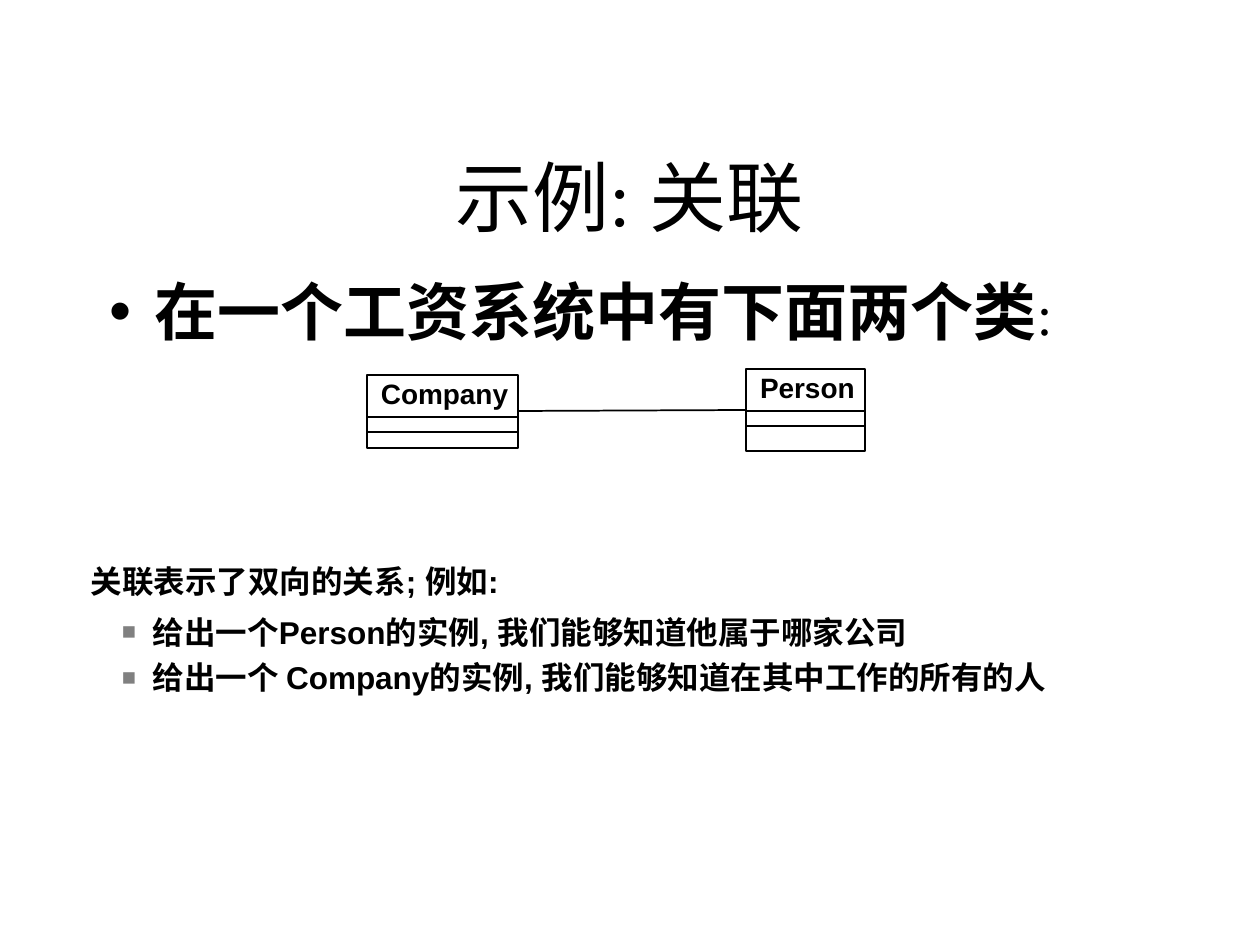
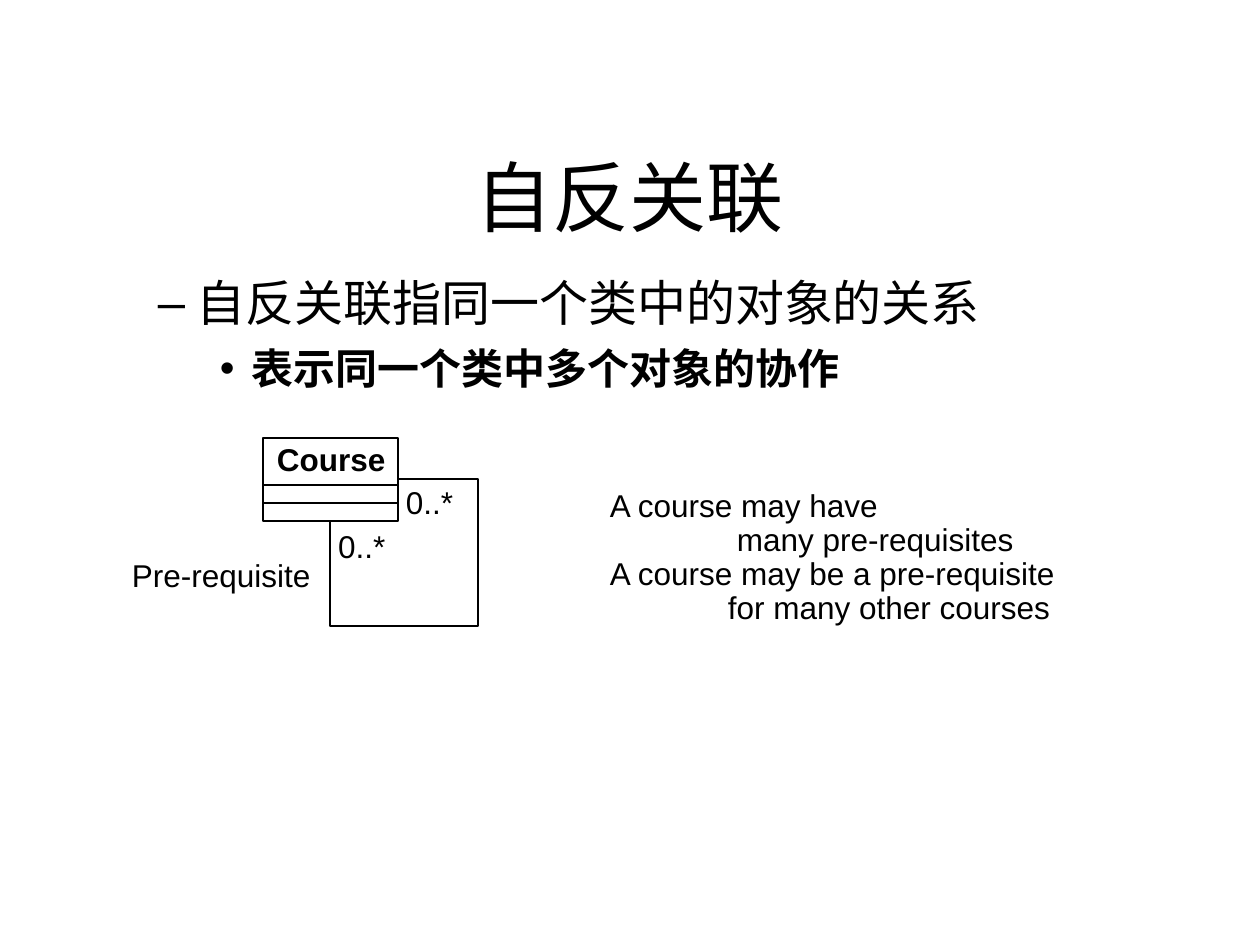
from dataclasses import dataclass

from lxml.etree import SubElement
from pptx import Presentation
from pptx.dml.color import RGBColor
from pptx.enum.shapes import MSO_CONNECTOR as Connector, MSO_SHAPE as Preset
from pptx.enum.text import MSO_ANCHOR as Anchor, MSO_AUTO_SIZE as AutoSize, PP_ALIGN as Align
from pptx.oxml.ns import qn
from pptx.util import Emu, Pt


@dataclass(frozen=True)
class Theme:
    ink: str = "000000"
    marker: str = "808080"
    serif: str = "Times New Roman"
    sans: str = "Arial"
    title: int = 44
    lead: int = 36
    colon: int = 32
    point: int = 28
    subpoint: int = 24
    note: int = 18
    class_name: int = 16
    line: int = 1


THEME = Theme()
TITLE_BOX = (94, 84, 1071, 158)
LABEL_INSETS = (13, 6, 0, 6)
NO_INSETS = (0, 0, 0, 0)


@dataclass(frozen=True)
class Line:
    text: str
    size: int = THEME.note
    bold: bool = False
    bullet: str = ""
    bullet_color: str = THEME.ink
    bullet_percent: int = 100
    margin: int = 0
    hanging: int = 0
    before: float = 0
    after: float = 0
    spacing: object = None


def px(length):
    return Emu(round(length * 914400 / 126))


def ink(color):
    return RGBColor.from_string(color)


def set_font(font, size, face, bold=False):
    font.name = face
    font.size = Pt(size)
    font.bold = bold
    font.color.rgb = ink(THEME.ink)


def set_insets(frame, insets):
    (frame.margin_left, frame.margin_top,
     frame.margin_right, frame.margin_bottom) = map(px, insets)


def set_indent(paragraph, line):
    properties = paragraph._p.get_or_add_pPr()
    properties.set("marL", str(px(line.margin)))
    properties.set("indent", str(-px(line.hanging)))
    if line.bullet:
        color = SubElement(properties, qn("a:buClr"))
        SubElement(color, qn("a:srgbClr"), val=line.bullet_color)
        SubElement(properties, qn("a:buSzPct"), val=str(line.bullet_percent * 1000))
        SubElement(properties, qn("a:buFont"), typeface=THEME.sans)
        SubElement(properties, qn("a:buChar"), char=line.bullet)


def add_text(slide, box, lines, face=THEME.sans, insets=LABEL_INSETS):
    frame = slide.shapes.add_textbox(*map(px, box)).text_frame
    frame.word_wrap = True
    frame.auto_size = AutoSize.NONE
    set_insets(frame, insets)
    for index, line in enumerate(lines):
        paragraph = frame.add_paragraph() if index else frame.paragraphs[0]
        set_indent(paragraph, line)
        paragraph.space_before = Pt(line.before)
        paragraph.space_after = Pt(line.after)
        if line.spacing:
            paragraph.line_spacing = line.spacing
        paragraph.add_run().text = line.text
        set_font(paragraph.font, line.size, face, line.bold)
    return frame


def add_titled_slide(deck, text):
    slide = deck.slides.add_slide(deck.slide_layouts[5])
    title = slide.shapes.title
    title.left, title.top, title.width, title.height = map(px, TITLE_BOX)
    frame = title.text_frame
    frame.text = text
    frame.auto_size = AutoSize.NONE
    frame.vertical_anchor = Anchor.BOTTOM
    set_insets(frame, NO_INSETS)
    paragraph = frame.paragraphs[0]
    paragraph.alignment = Align.CENTER
    set_font(paragraph.font, THEME.title, THEME.serif)
    return slide


def style_line(line):
    line.color.rgb = ink(THEME.ink)
    line.width = Pt(THEME.line)


def add_rule(slide, *ends):
    rule = slide.shapes.add_connector(Connector.STRAIGHT, *map(px, ends))
    SubElement(rule._element.spPr, qn("a:effectLst"))
    style_line(rule.line)


def add_class(slide, box, name, size, header, attributes):
    left, top, width, height = box
    outline = slide.shapes.add_shape(Preset.RECTANGLE, *map(px, box))
    outline.shadow.inherit = False
    outline.fill.background()
    style_line(outline.line)
    add_text(slide, (left + 1, top - 4, width + 1, 48), [Line(name, size, True)])
    for offset in (header, header + attributes):
        add_rule(slide, left, top + offset, left + width, top + offset)


def add_class_pair(slide, box):
    left, top, width, height = box
    company_width, person_width = 151, 119
    person_left = left + width - person_width
    add_class(slide, (left, top + 6, company_width, 73), "Company",
              THEME.class_name, 42, 15)
    add_class(slide, (person_left, top, person_width, height), "Person",
              THEME.class_name, 42, 15)
    add_rule(slide, left + company_width, top + 42, person_left, top + 41)


def add_reflexive_class(slide, box):
    left, top, width, height = box
    course_width, course_height = 135, 83
    right, bottom = left + width, top + height
    exit_x, entry_y = left + 67, top + 41
    add_class(slide, (left, top, course_width, course_height), "Course",
              THEME.note, 47, 18)
    start, *corners = [tuple(map(px, point)) for point in (
        (exit_x, top + course_height), (exit_x, bottom), (right, bottom),
        (right, entry_y), (left + course_width, entry_y))]
    builder = slide.shapes.build_freeform(*start)
    builder.add_line_segments(corners, close=False)
    loop = builder.convert_to_shape()
    loop.shadow.inherit = False
    loop.fill.background()
    style_line(loop.line)
    for x, y in ((left + 130, top + 43), (left + 62, top + 87)):
        add_text(slide, (x, y, 72, 45), [Line("0..*", spacing=0.9)])
    add_text(slide, (left - 144, top + 112, 204, 50), [Line("Pre-requisite")])


def build_association(deck):
    slide = add_titled_slide(deck, "示例: 关联")
    lead = Line("在一个工资系统中有下面两个类", THEME.lead, True, "•",
                margin=61, hanging=45)
    frame = add_text(slide, (94, 273, 1071, 76), [lead], THEME.serif, NO_INSETS)
    colon = frame.paragraphs[0].add_run()
    colon.text = ":"
    set_font(colon.font, THEME.colon, THEME.serif)
    add_class_pair(slide, (367, 369, 498, 82))
    exact = Pt(THEME.note)
    examples = [
        Line(text, THEME.note, True, "■", THEME.marker, 75, 62, 31, before, spacing=exact)
        for text, before in (
            ("给出一个Person的实例, 我们能够知道他属于哪家公司", 0),
            ("给出一个 Company的实例, 我们能够知道在其中工作的所有的人", 8))]
    intro = Line("关联表示了双向的关系; 例如:", bold=True, after=11.2, spacing=exact)
    add_text(slide, (91, 568, 1086, 129), [intro, *examples], insets=NO_INSETS)


def build_reflexive(deck):
    slide = add_titled_slide(deck, "自反关联")
    add_text(slide, (94, 273, 1071, 120), [
        Line("自反关联指同一个类中的对象的关系", THEME.point, bullet="–",
             margin=103, hanging=39),
        Line("表示同一个类中多个对象的协作", THEME.subpoint, True, "•",
             margin=158, hanging=32, before=6),
    ], THEME.serif, NO_INSETS)
    add_text(slide, (597, 484, 479, 147), [
        Line(text, margin=margin, spacing=0.9)
        for text, margin in (
            ("A course may have", 0),
            ("many pre-requisites", 127),
            ("A course may be a pre-requisite", 0),
            ("for many other courses", 118))])
    add_reflexive_class(slide, (263, 438, 215, 188))


def main():
    deck = Presentation()
    deck.slide_width, deck.slide_height = px(1260), px(945)
    build_association(deck)
    build_reflexive(deck)
    deck.save("out.pptx")


if __name__ == "__main__":
    main()
